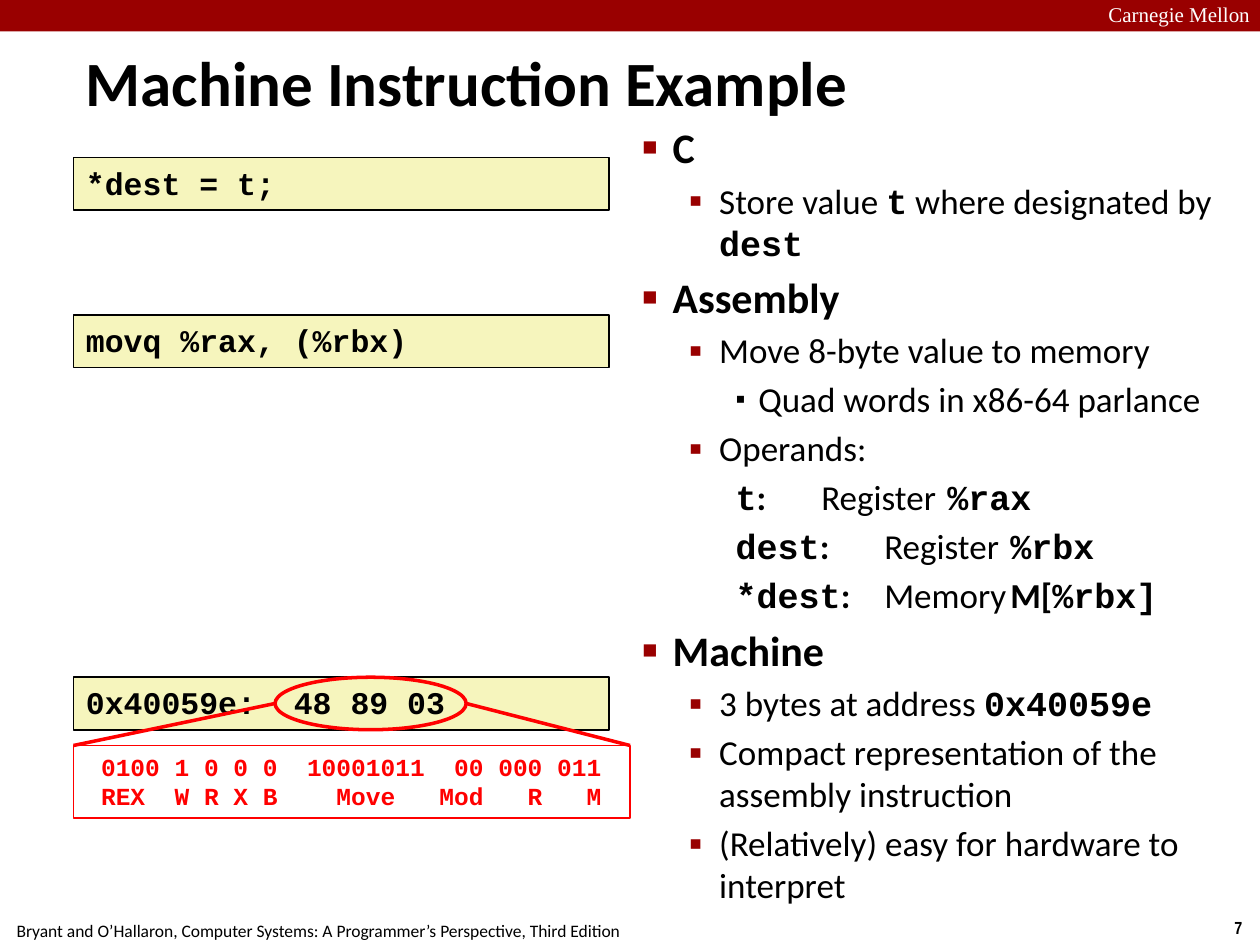
from dataclasses import dataclass

from lxml import etree
from pptx import Presentation
from pptx.dml.color import RGBColor
from pptx.enum.shapes import MSO_CONNECTOR, MSO_SHAPE
from pptx.enum.text import MSO_ANCHOR, PP_ALIGN
from pptx.oxml.ns import qn
from pptx.util import Inches, Pt

LEFT, CENTER = PP_ALIGN.LEFT, PP_ALIGN.CENTER
TOP, MIDDLE = MSO_ANCHOR.TOP, MSO_ANCHOR.MIDDLE
RECTANGLE, OVAL = MSO_SHAPE.RECTANGLE, MSO_SHAPE.OVAL
STRAIGHT = MSO_CONNECTOR.STRAIGHT


@dataclass(frozen=True)
class Theme:
    sans: str = "Calibri"
    mono: str = "Courier New"
    serif: str = "Times New Roman"
    narrow: str = "Arial Narrow"
    accent: str = "990000"
    code_fill: str = "F6F5BD"
    callout: str = "FF0000"
    ink: str = "000000"
    paper: str = "FFFFFF"
    title: int = 36
    heading: int = 24
    body: int = 20
    code: int = 18
    encoding: int = 14
    banner: int = 12
    footer: int = 10


THEME = Theme()
WIDTH, HEIGHT = Inches(10), Inches(7.5)
COLUMNS, ROWS = 120, 90
CODE_LEFT, CODE_WIDTH, CODE_HEIGHT = 7, 51, 5
MACHINE_ROW, ENCODING_ROW = 64.5, 71
TAB_STOPS = (1.75, 2.75)


@dataclass(frozen=True)
class Level:
    margin: float
    hanging: float
    size: int
    bold: bool
    bullet: str = ""
    bullet_color: str = THEME.accent
    bullet_percent: int = 100


HEADING = Level(0.24, 0.24, THEME.heading, True, "■", bullet_percent=60)
POINT = Level(0.61, 0.24, THEME.body, False, "▪", bullet_percent=110)
DETAIL = Level(0.92, 0.18, THEME.body, False, "▪", THEME.ink, 80)
OPERAND = Level(0.92, 0.18, THEME.body, False)


def code(text):
    return text, {"font": THEME.mono, "bold": True}


def strong(text):
    return text, {"bold": True}


OUTLINE = [
    (HEADING, ["C"]),
    (POINT, ["Store value ", code("t"), " where designated by ", code("dest")]),
    (HEADING, ["Assembly"]),
    (POINT, ["Move 8-byte value to memory"]),
    (DETAIL, ["Quad words in x86-64 parlance"]),
    (POINT, ["Operands:"]),
    (OPERAND, [code("t"), strong(":"), "\tRegister\t", code("%rax")]),
    (OPERAND, [code("dest"), strong(":"), "\tRegister\t", code("%rbx")]),
    (OPERAND, [code("*dest"), strong(":"), "\tMemory\t", strong("M["), code("%rbx]")]),
    (HEADING, ["Machine"]),
    (POINT, ["3 bytes at address ", code("0x40059e")]),
    (POINT, ["Compact representation of the assembly instruction"]),
    (POINT, ["(Relatively) easy for hardware to interpret"]),
]


def x(column):
    return round(WIDTH * column / COLUMNS)


def y(row):
    return round(HEIGHT * row / ROWS)


def cell(left, top, width, height):
    return x(left), y(top), x(width), y(height)


def add_run(paragraph, text, *, font=THEME.sans, size=THEME.body,
            color=THEME.ink, bold=False):
    run = paragraph.add_run()
    run.text = text
    run.font.name = font
    run.font.size = Pt(size)
    run.font.bold = bold
    run.font.color.rgb = RGBColor.from_string(color)


def write(frame, lines, *, align=LEFT, anchor=TOP, wrap=True, **run_format):
    frame.word_wrap = wrap
    frame.vertical_anchor = anchor
    for index, line in enumerate(lines):
        paragraph = frame.add_paragraph() if index else frame.paragraphs[0]
        paragraph.alignment = align
        add_run(paragraph, line, **run_format)


def add_label(slide, place, text, **text_format):
    label = slide.shapes.add_textbox(*cell(*place))
    write(label.text_frame, [text], **text_format)


def add_figure(slide, kind, place, *, fill=None, line=None, weight=1):
    figure = slide.shapes.add_shape(kind, *cell(*place))
    figure.shadow.inherit = False
    if fill:
        figure.fill.solid()
        figure.fill.fore_color.rgb = RGBColor.from_string(fill)
    else:
        figure.fill.background()
    if line:
        figure.line.color.rgb = RGBColor.from_string(line)
        figure.line.width = Pt(weight)
    else:
        figure.line.fill.background()
    return figure


def add_code_box(slide, row, statement):
    box = add_figure(slide, RECTANGLE, (CODE_LEFT, row, CODE_WIDTH, CODE_HEIGHT),
                     fill=THEME.code_fill, line=THEME.ink)
    write(box.text_frame, [statement], font=THEME.mono, size=THEME.code, bold=True)


def add_callout_line(slide, start, end):
    line = slide.shapes.add_connector(STRAIGHT, x(start[0]), y(start[1]),
                                      x(end[0]), y(end[1]))
    line.line.color.rgb = RGBColor.from_string(THEME.callout)
    line.line.width = Pt(2)
    etree.SubElement(line._element.spPr, qn("a:effectLst"))


def set_level(paragraph, level):
    properties = paragraph._p.get_or_add_pPr()
    properties.set("marL", str(Inches(level.margin)))
    properties.set("indent", str(-Inches(level.hanging)))

    def add(parent, tag, **attributes):
        return etree.SubElement(parent, qn(tag), attributes)

    if level.bullet:
        add(add(properties, "a:buClr"), "a:srgbClr", val=level.bullet_color)
        add(properties, "a:buSzPct", val=str(level.bullet_percent * 1000))
        add(properties, "a:buFont", typeface="Arial")
        add(properties, "a:buChar", char=level.bullet)
    else:
        add(properties, "a:buNone")
    tabs = add(properties, "a:tabLst")
    for stop in TAB_STOPS:
        add(tabs, "a:tab", pos=str(Inches(stop)), algn="l")


def add_outline(slide, place, entries):
    frame = slide.shapes.add_textbox(*cell(*place)).text_frame
    frame.word_wrap = True
    for index, (level, pieces) in enumerate(entries):
        paragraph = frame.add_paragraph() if index else frame.paragraphs[0]
        set_level(paragraph, level)
        if index:
            paragraph.space_before = Pt(level.size * 0.2)
        for piece in pieces:
            text, style = (piece, {}) if isinstance(piece, str) else piece
            add_run(paragraph, text, **{"size": level.size, "bold": level.bold, **style})


def add_encoding(slide):
    # Bit fields of the instruction bytes
    left, width, height = CODE_LEFT, 53, 6.9
    fields = add_figure(slide, RECTANGLE, (left, ENCODING_ROW, width, height),
                        line=THEME.callout, weight=0.75)
    write(fields.text_frame,
          ["0100 1 0 0 0  10001011  00 000 011",
           "REX  W R X B    Move   Mod   R   M"],
          align=CENTER, font=THEME.mono, size=THEME.encoding,
          color=THEME.callout, bold=True)

    # Ring around the bytes, tied to the corners of the bit fields
    ring_left, ring_width = 26.2, 18.2
    add_figure(slide, OVAL, (ring_left, MACHINE_ROW, ring_width, CODE_HEIGHT),
               line=THEME.callout, weight=2)
    ring_middle = MACHINE_ROW + CODE_HEIGHT / 2
    for ring_side, corner in ((ring_left, left), (ring_left + ring_width, left + width)):
        add_callout_line(slide, (ring_side, ring_middle), (corner, ENCODING_ROW))


def main():
    presentation = Presentation()
    presentation.slide_width, presentation.slide_height = WIDTH, HEIGHT
    slide = presentation.slides.add_slide(presentation.slide_layouts[6])

    # Banner and footer
    add_figure(slide, RECTANGLE, (0, 0, COLUMNS, 3), fill=THEME.accent)
    add_label(slide, (103.7, -0.4, 17.2, 3.6), "Carnegie Mellon", align=CENTER,
              font=THEME.serif, size=THEME.banner, color=THEME.paper)
    add_label(slide, (115.9, 86.7, 4.1, 3.2), "7", align=CENTER, wrap=False,
              font=THEME.narrow, size=THEME.footer, bold=True)
    add_label(slide, (-0.2, 87, 61, 3.2),
              "Bryant and O’Hallaron, Computer Systems: "
              "A Programmer’s Perspective, Third Edition",
              align=CENTER, wrap=False, size=THEME.footer)

    # Title and explanation
    add_label(slide, (7, 4, 95.3, 7.5), "Machine Instruction Example",
              anchor=MIDDLE, size=THEME.title, bold=True)
    add_outline(slide, (60, 11, 60, 76), OUTLINE)

    # The same step in C, assembly and machine code
    add_code_box(slide, 15, "*dest = t;")
    add_code_box(slide, 30, "movq %rax, (%rbx)")
    add_code_box(slide, MACHINE_ROW, "0x40059e:  48 89 03")
    add_encoding(slide)

    presentation.save("out.pptx")


if __name__ == "__main__":
    main()
